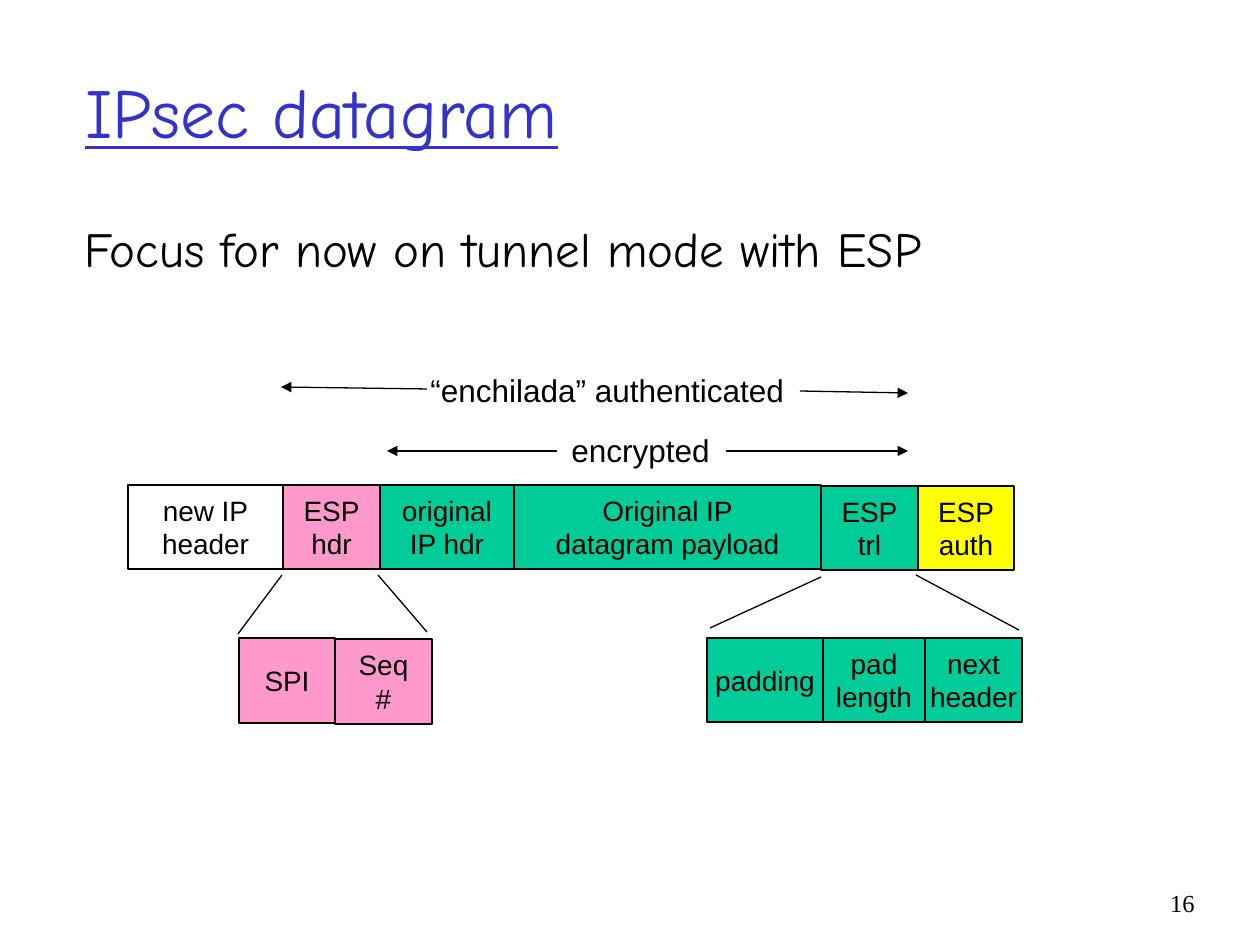
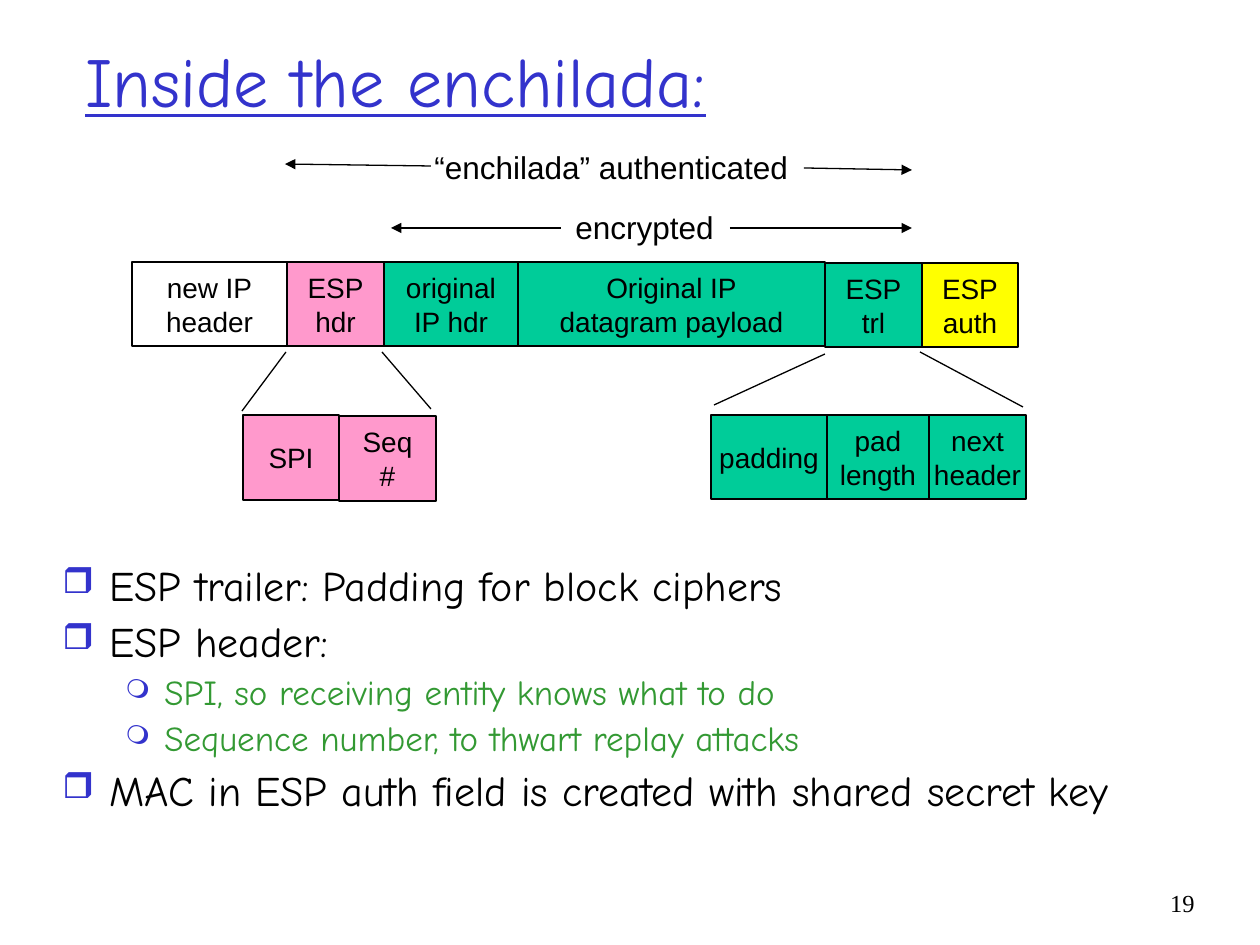
import dataclasses
import itertools
import typing

import lxml.etree
import pptx
import pptx.dml.color
import pptx.enum.shapes
import pptx.enum.text
import pptx.oxml.ns
import pptx.util

# Scale, colours and fonts
PX = 914400 / 126
BLACK, BLUE, GREEN = "000000", "3333CC", "339933"
WHITE_FIELD, PINK, TEAL, YELLOW = None, "FF99CC", "00CC99", "FFFF00"
HAND, SANS, SERIF = "Comic Neue", "Arial", "Times New Roman"

ALIGN = pptx.enum.text.PP_ALIGN
ANCHOR = pptx.enum.text.MSO_ANCHOR
qn = pptx.oxml.ns.qn

# Text formats
TITLE_FONT = {"name": HAND, "size": pptx.util.Pt(40), "underline": True}
FOCUS_FONT = {"name": HAND, "size": pptx.util.Pt(28)}
FIELD_FONT = {"name": SANS, "size": pptx.util.Pt(16)}
SPAN_FONT = {"name": SANS, "size": pptx.util.Pt(18)}
NUMBER_FONT = {"name": SERIF, "size": pptx.util.Pt(14)}
FIELD_FRAME = {"word_wrap": False, "vertical_anchor": ANCHOR.MIDDLE}
SPAN_FRAME = {"word_wrap": False, "auto_size": pptx.enum.text.MSO_AUTO_SIZE.SHAPE_TO_FIT_TEXT}


class Box(typing.NamedTuple):
    left: int
    top: int
    width: int
    height: int


class Field(typing.NamedTuple):
    label: str
    width: int
    fill: str | None
    drop: int = 0


@dataclasses.dataclass(frozen=True)
class FieldRow:
    left: int
    top: int
    height: int
    fields: tuple[Field, ...]


class Span(typing.NamedTuple):
    label: str
    box: Box


class Stroke(typing.NamedTuple):
    start: tuple[int, int]
    end: tuple[int, int]
    arrow: bool = False


@dataclasses.dataclass(frozen=True)
class BulletLevel:
    mark: str
    mark_size: int
    size: int
    colour: str
    margin: int
    indent: int
    before: int


# Datagram diagram, measured from its top left field
ROWS = (
    FieldRow(0, 0, 84, (
        Field("new IP\nheader", 155, WHITE_FIELD),
        Field("ESP\nhdr", 97, PINK),
        Field("original\nIP hdr", 134, TEAL),
        Field("Original IP\ndatagram payload", 307, TEAL),
        Field("ESP\ntrl", 97, TEAL, drop=1),
        Field("ESP\nauth", 96, YELLOW, drop=1),
    )),
    FieldRow(579, 153, 84, (
        Field("padding", 116, TEAL),
        Field("pad\nlength", 102, TEAL),
        Field("next\nheader", 97, TEAL),
    )),
    FieldRow(111, 153, 85, (
        Field("SPI", 96, PINK),
        Field("Seq\n#", 97, PINK, drop=1),
    )),
)
SPANS = (
    Span("encrypted", Box(431, -60, 164, 50)),
    Span("“enchilada” authenticated", Box(290, -120, 379, 50)),
)
STROKES = (
    Stroke((598, -34), (780, -34), arrow=True),
    Stroke((429, -34), (259, -34), arrow=True),
    Stroke((672, -94), (780, -92), arrow=True),
    Stroke((299, -96), (153, -98), arrow=True),
    Stroke((582, 143), (693, 92)),
    Stroke((891, 145), (788, 90)),
    Stroke((110, 149), (154, 90)),
    Stroke((250, 90), (299, 147)),
)

# Bullet text
TOPIC = BulletLevel("❒", 85, 24, BLACK, 47, -47, 6)
DETAIL = BulletLevel("❍", 75, 20, GREEN, 102, -39, 5)
ENCHILADA_NOTES = (
    (TOPIC, "ESP trailer: Padding for block ciphers"),
    (TOPIC, "ESP header:"),
    (DETAIL, "SPI, so receiving entity knows what to do"),
    (DETAIL, "Sequence number, to thwart replay attacks"),
    (TOPIC, "MAC in ESP auth field is created with shared secret key"),
)


def emu(px: int) -> int:
    return round(px * PX)


def paint(colour_format: typing.Any, colour: str) -> None:
    """Sets a font, fill or line colour from a hex string."""
    colour_format.rgb = pptx.dml.color.RGBColor.from_string(colour)


def apply(target: typing.Any, formats: dict[str, typing.Any]) -> None:
    for name, value in formats.items():
        setattr(target, name, value)


def write(frame: typing.Any, text: str, font: dict, colour: str = BLACK,
          align: typing.Any = ALIGN.LEFT) -> None:
    frame.text = text
    for paragraph in frame.paragraphs:
        paragraph.alignment = align
        apply(paragraph.font, font)
        for run in paragraph.runs:
            apply(run.font, font)
            paint(run.font.color, colour)


def add_text(slide: typing.Any, box: Box, text: str, font: dict, colour: str = BLACK,
             align: typing.Any = ALIGN.LEFT, frame_format: dict | None = None) -> typing.Any:
    frame = slide.shapes.add_textbox(*map(emu, box)).text_frame
    apply(frame, frame_format or {"word_wrap": True})
    write(frame, text, font, colour, align)
    return frame


def add_field(slide: typing.Any, box: Box, field: Field) -> None:
    cell = slide.shapes.add_shape(pptx.enum.shapes.MSO_SHAPE.RECTANGLE, *map(emu, box))
    cell.shadow.inherit = False
    if field.fill:
        cell.fill.solid()
        paint(cell.fill.fore_color, field.fill)
    else:
        cell.fill.background()
    cell.line.width = pptx.util.Pt(0.75)
    paint(cell.line.color, BLACK)
    apply(cell.text_frame, FIELD_FRAME)
    write(cell.text_frame, field.label, FIELD_FONT, align=ALIGN.CENTER)


def add_stroke(slide: typing.Any, stroke: Stroke, left: int, top: int) -> None:
    ends = [emu(offset + origin) for point in (stroke.start, stroke.end)
            for offset, origin in zip(point, (left, top))]
    line = slide.shapes.add_connector(pptx.enum.shapes.MSO_CONNECTOR.STRAIGHT, *ends)
    line.line.width = pptx.util.Pt(0.75)
    paint(line.line.color, BLACK)
    properties = line._element.spPr
    if stroke.arrow:
        lxml.etree.SubElement(properties.find(qn("a:ln")), qn("a:tailEnd"), type="triangle")
    lxml.etree.SubElement(properties, qn("a:effectLst"))


def add_datagram(slide: typing.Any, left: int, top: int) -> None:
    for row in ROWS:
        edges = itertools.accumulate((field.width for field in row.fields), initial=left + row.left)
        for edge, field in zip(edges, row.fields):
            add_field(slide, Box(edge, top + row.top + field.drop, field.width, row.height), field)
    for span in SPANS:
        box = span.box._replace(left=left + span.box.left, top=top + span.box.top)
        add_text(slide, box, span.label, SPAN_FONT, frame_format=SPAN_FRAME)
    for stroke in STROKES:
        add_stroke(slide, stroke, left, top)


def add_bullets(slide: typing.Any, box: Box, notes: tuple[tuple[BulletLevel, str], ...]) -> None:
    frame = add_text(slide, box, "\n".join(text for _, text in notes), {"name": HAND})
    for paragraph, (level, _) in zip(frame.paragraphs, notes):
        apply(paragraph, {"level": int(level is DETAIL), "line_spacing": 0.9,
                          "space_before": pptx.util.Pt(level.before)})
        font = paragraph.runs[0].font
        font.size = pptx.util.Pt(level.size)
        paint(font.color, level.colour)
        properties = paragraph._p.get_or_add_pPr()
        properties.set("marL", str(emu(level.margin)))
        properties.set("indent", str(emu(level.indent)))
        mark_colour = lxml.etree.SubElement(properties, qn("a:buClr"))
        lxml.etree.SubElement(mark_colour, qn("a:srgbClr"), val=BLUE)
        lxml.etree.SubElement(properties, qn("a:buSzPct"), val=str(level.mark_size * 1000))
        lxml.etree.SubElement(properties, qn("a:buChar"), char=level.mark)


def add_slide(deck: typing.Any, title: str, title_top: int, number: int) -> typing.Any:
    """Adds a blank slide with the shared title and slide number."""
    slide = deck.slides.add_slide(deck.slide_layouts[6])
    add_text(slide, Box(1144, 882, 63, 63), str(number), NUMBER_FONT, align=ALIGN.RIGHT)
    add_text(slide, Box(73, title_top, 1071, 158), title, TITLE_FONT, BLUE,
             frame_format={"word_wrap": True, "vertical_anchor": ANCHOR.MIDDLE})
    return slide


def main() -> None:
    deck = pptx.Presentation()
    apply(deck, {"slide_width": emu(1260), "slide_height": emu(945)})

    # IPsec datagram
    overview = add_slide(deck, "IPsec datagram", 32, 16)
    focus = add_text(overview, Box(72, 212, 1071, 640),
                     "Focus for now on tunnel mode with ESP", FOCUS_FONT)
    focus.paragraphs[0].space_before = pptx.util.Pt(7)
    add_datagram(overview, 128, 485)

    # Inside the enchilada
    inside = add_slide(deck, "Inside the enchilada:", 0, 19)
    add_bullets(inside, Box(50, 559, 1071, 326), ENCHILADA_NOTES)
    add_datagram(inside, 132, 262)

    deck.save("out.pptx")


if __name__ == "__main__":
    main()
